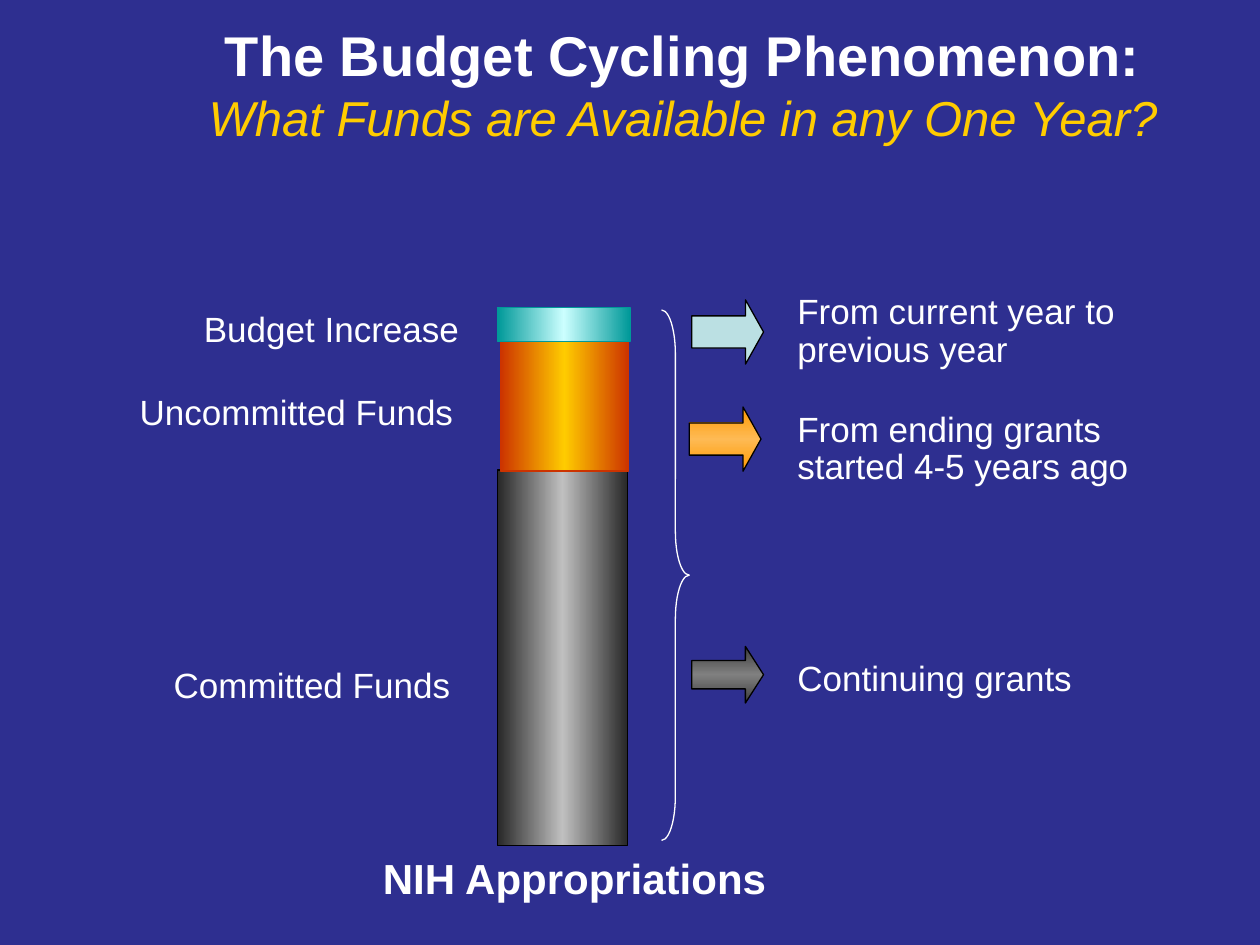
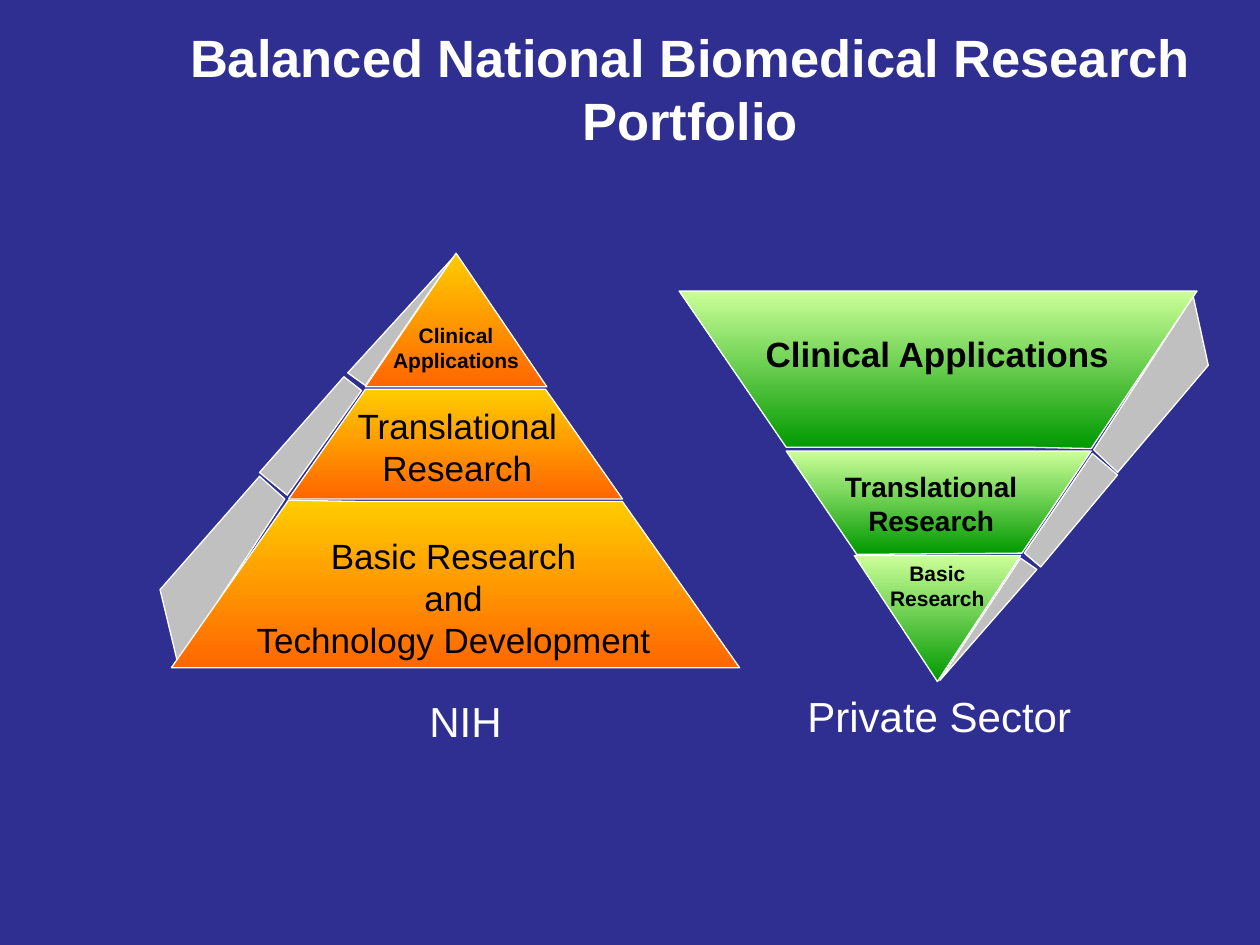
from copy import deepcopy

from pptx import Presentation
from pptx.dml.color import RGBColor
from pptx.enum.shapes import MSO_SHAPE as Shape
from pptx.enum.text import MSO_ANCHOR as Anchor, PP_ALIGN as Align
from pptx.oxml.ns import qn
from pptx.util import Inches, Pt

NAVY = RGBColor(0x2E, 0x2F, 0x90)
WHITE = RGBColor(0xFF, 0xFF, 0xFF)
BLACK = RGBColor(0x00, 0x00, 0x00)
GOLD = RGBColor(0xFF, 0xCC, 0x00)
RED = RGBColor(0xCC, 0x33, 0x00)
ORANGE = RGBColor(0xFF, 0x66, 0x00)
AMBER = RGBColor(0xFF, 0x99, 0x00)
PALE_AMBER = RGBColor(0xFE, 0xBA, 0x54)
TEAL = RGBColor(0x00, 0x99, 0x99)
AQUA = RGBColor(0xCC, 0xFF, 0xFF)
PALE_BLUE = RGBColor(0xBB, 0xE0, 0xE3)
CHARCOAL = RGBColor(0x28, 0x28, 0x28)
DARK_GRAY = RGBColor(0x3B, 0x3B, 0x3B)
GRAY = RGBColor(0x80, 0x80, 0x80)
SILVER = RGBColor(0xC0, 0xC0, 0xC0)
GREEN = RGBColor(0x00, 0x99, 0x00)
LIME = RGBColor(0xCC, 0xFF, 0x99)
FONT = "Arial"
DOWNWARD = 270


def add_text(slide, text, left, top, width, height, size=20, color=WHITE, bold=False,
             align=Align.LEFT, anchor=Anchor.TOP, line_spacing=None):
    box = slide.shapes.add_textbox(Inches(left), Inches(top), Inches(width), Inches(height))
    frame = box.text_frame
    frame.word_wrap = True
    frame.vertical_anchor = anchor
    frame.text = text
    for paragraph in frame.paragraphs:
        paragraph.alignment = align
        paragraph.line_spacing = line_spacing
        font = paragraph.font
        font.name = FONT
        font.size = Pt(size)
        font.bold = bold
        font.color.rgb = color
    return frame


def paint(shape, colors, line_color, angle=0):
    shape.shadow.inherit = False
    shape.line.color.rgb = line_color
    shape.line.width = Pt(0.75)
    fill = shape.fill
    if not colors:
        fill.background()
    elif len(colors) == 1:
        fill.solid()
        fill.fore_color.rgb = colors[0]
    else:
        fill.gradient()
        fill.gradient_angle = angle
        stop_list = shape._element.spPr.find(".//" + qn("a:gsLst"))
        while len(stop_list) < len(colors):
            stop_list.append(deepcopy(stop_list[0]))
        for index, (stop, color) in enumerate(zip(fill.gradient_stops, colors)):
            stop.position = index / (len(colors) - 1)
            stop.color.rgb = color


presentation = Presentation()
presentation.slide_width = Inches(10)
presentation.slide_height = Inches(7.5)

titles = [
    ("The Budget Cycling Phenomenon:\nWhat Funds are Available in any One Year?", 0.47, 0.31, 9.9, 32),
    ("Balanced National Biomedical Research\nPortfolio", 1.35, 0.34, 8.26, 30),
]
slides = []
title_frames = []
for text, left, top, width, size in titles:
    slide = presentation.slides.add_slide(presentation.slide_layouts[6])
    slide.background.fill.solid()
    slide.background.fill.fore_color.rgb = NAVY
    title_frames.append(add_text(slide, text, left, top, width, 0.71, size=size, bold=True,
                                 align=Align.CENTER, anchor=Anchor.MIDDLE))
    slides.append(slide)
budget_slide, portfolio_slide = slides

subtitle_font = title_frames[0].paragraphs[1].font
subtitle_font.size = Pt(28)
subtitle_font.bold = False
subtitle_font.italic = True
subtitle_font.color.rgb = GOLD

budget_shapes = [
    (Shape.RECTANGLE, 3.95, 3.73, 1.03, 2.98, [CHARCOAL, SILVER, CHARCOAL], BLACK, 0, []),
    (Shape.RECTANGLE, 3.97, 2.71, 1.02, 1.03, [RED, GOLD, RED], RED, 0, []),
    (Shape.RECTANGLE, 3.95, 2.44, 1.05, 0.27, [TEAL, AQUA, TEAL], TEAL, 0, []),
    (Shape.RIGHT_BRACE, 5.25, 2.46, 0.22, 4.21, [], WHITE, 0, [1.59, 0.5]),
    (Shape.RIGHT_ARROW, 5.49, 2.38, 0.57, 0.51, [PALE_BLUE], BLACK, 0, [0.5, 0.28]),
    (Shape.RIGHT_ARROW, 5.47, 3.23, 0.57, 0.51, [AMBER, PALE_AMBER, AMBER], BLACK, DOWNWARD, [0.5, 0.28]),
    (Shape.RIGHT_ARROW, 5.49, 5.13, 0.57, 0.45, [DARK_GRAY, GRAY, DARK_GRAY], BLACK, DOWNWARD, [0.5, 0.32]),
]
for kind, left, top, width, height, colors, line_color, angle, adjustments in budget_shapes:
    shape = budget_slide.shapes.add_shape(kind, Inches(left), Inches(top), Inches(width), Inches(height))
    for index, value in enumerate(adjustments):
        shape.adjustments[index] = value
    paint(shape, colors, line_color, angle)

fund_labels = [
    ("Budget Increase", 1.52, 2.39, 2.4),
    ("Uncommitted Funds", 1.01, 3.05, 2.9),
    ("Committed Funds", 1.28, 5.22, 2.6),
    ("Continuing grants", 6.23, 5.16, 2.6),
]
for text, left, top, width in fund_labels:
    add_text(budget_slide, text, left, top, width, 0.44)

fund_sources = [
    ("From current year to\nprevious year", 2.29),
    ("From ending grants\nstarted 4-5 years ago", 3.22),
]
for text, top in fund_sources:
    add_text(budget_slide, text, 6.23, top, 3.2, 0.7, line_spacing=0.9)
add_text(budget_slide, "NIH Appropriations", 2.94, 6.72, 3.5, 0.5, size=24, bold=True)

nih_colors = [GOLD, ORANGE]
private_colors = [LIME, GREEN]
pyramid_faces = [
    ([SILVER], [(2.26, 3.96), (1.41, 5.26), (1.27, 4.68), (2.06, 3.78)]),
    ([SILVER], [(2.87, 3.1), (2.28, 3.93), (2.06, 3.75), (2.73, 2.99)]),
    ([SILVER], [(3.61, 2.03), (2.76, 2.96), (2.9, 3.06), (3.31, 2.46)]),
    (nih_colors, [(2.9, 3.09), (2.29, 3.96), (4.94, 3.96), (4.33, 3.09)]),
    (nih_colors, [(2.29, 3.97), (2.83, 3.98), (4.94, 3.98), (5.87, 5.3), (1.36, 5.3)]),
    ([SILVER], [(8.68, 3.57), (9.47, 2.35), (9.59, 2.9), (8.87, 3.75)]),
    ([SILVER], [(8.13, 4.39), (8.67, 3.6), (8.87, 3.77), (8.26, 4.5)]),
    ([SILVER], [(7.46, 5.4), (8.23, 4.52), (8.1, 4.43), (7.73, 4.99)]),
    (private_colors, [(8.11, 4.39), (8.66, 3.58), (6.24, 3.58), (6.8, 4.4)]),
    (private_colors, [(8.66, 3.56), (8.16, 3.55), (6.24, 3.55), (5.39, 2.31), (9.5, 2.31)]),
]
for colors, corners in pyramid_faces:
    points = [(Inches(x), Inches(y)) for x, y in corners]
    builder = portfolio_slide.shapes.build_freeform(*points[0])
    builder.add_line_segments(points[1:], close=True)
    paint(builder.convert_to_shape(), colors, WHITE, DOWNWARD)

pyramid_tips = [
    (Shape.ISOSCELES_TRIANGLE, 2.9, 2.01, 1.44, 1.06, nih_colors),
    (Shape.FLOWCHART_MERGE, 6.78, 4.41, 1.32, 1, private_colors),
]
for kind, left, top, width, height, colors in pyramid_tips:
    tip = portfolio_slide.shapes.add_shape(kind, Inches(left), Inches(top), Inches(width), Inches(height))
    paint(tip, colors, WHITE, DOWNWARD)

research_labels = [
    ("Clinical\nApplications", 2.92, 2.51, 1.4, 0.5, 12, True),
    ("Translational\nResearch", 2.63, 3.16, 2, 0.77, 20, False),
    ("Basic Research\nand\nTechnology Development", 1.75, 4.19, 3.7, 1.1, 20, False),
    ("Clinical Applications", 5.84, 2.59, 3.2, 0.44, 20, True),
    ("Translational\nResearch", 6.47, 3.68, 1.84, 0.64, 16, True),
    ("Basic\nResearch", 6.76, 4.4, 1.36, 0.5, 12, True),
]
for text, left, top, width, height, size, bold in research_labels:
    add_text(portfolio_slide, text, left, top, width, height, size=size, color=BLACK, bold=bold,
             align=Align.CENTER)

add_text(portfolio_slide, "NIH", 3.31, 5.47, 1, 0.5, size=24)
add_text(portfolio_slide, "Private Sector", 6.31, 5.43, 2.5, 0.5, size=24)

presentation.save("out.pptx")
